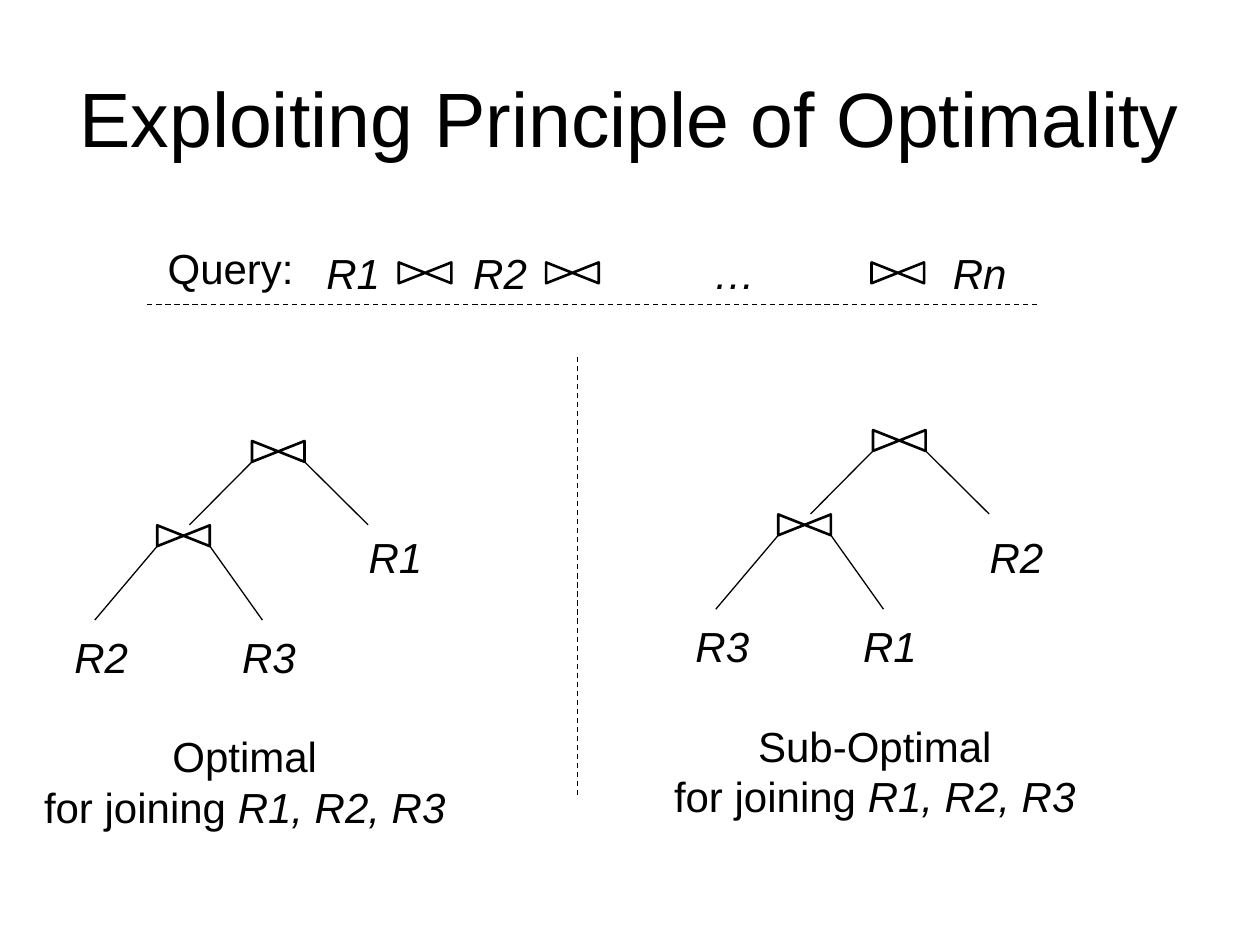
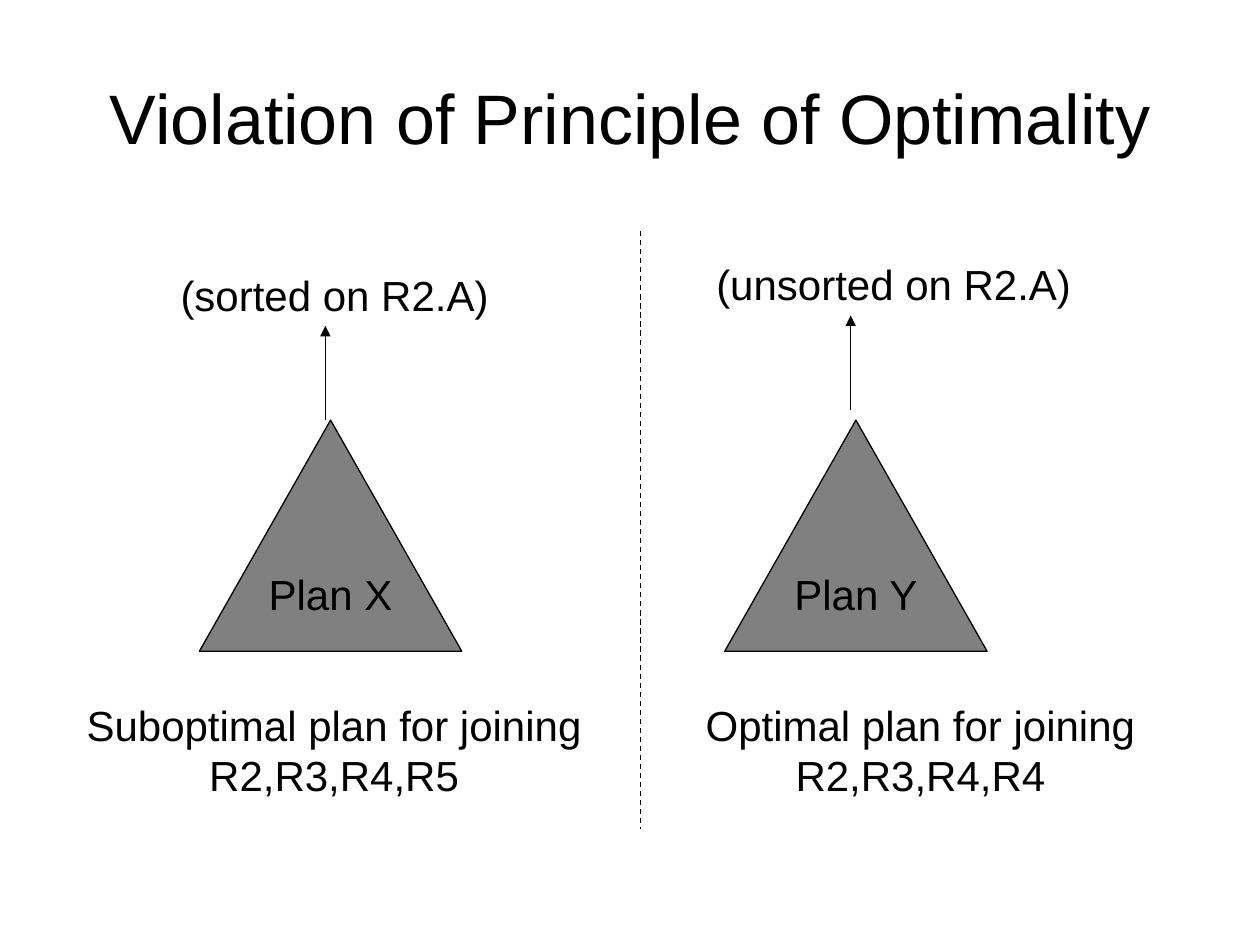
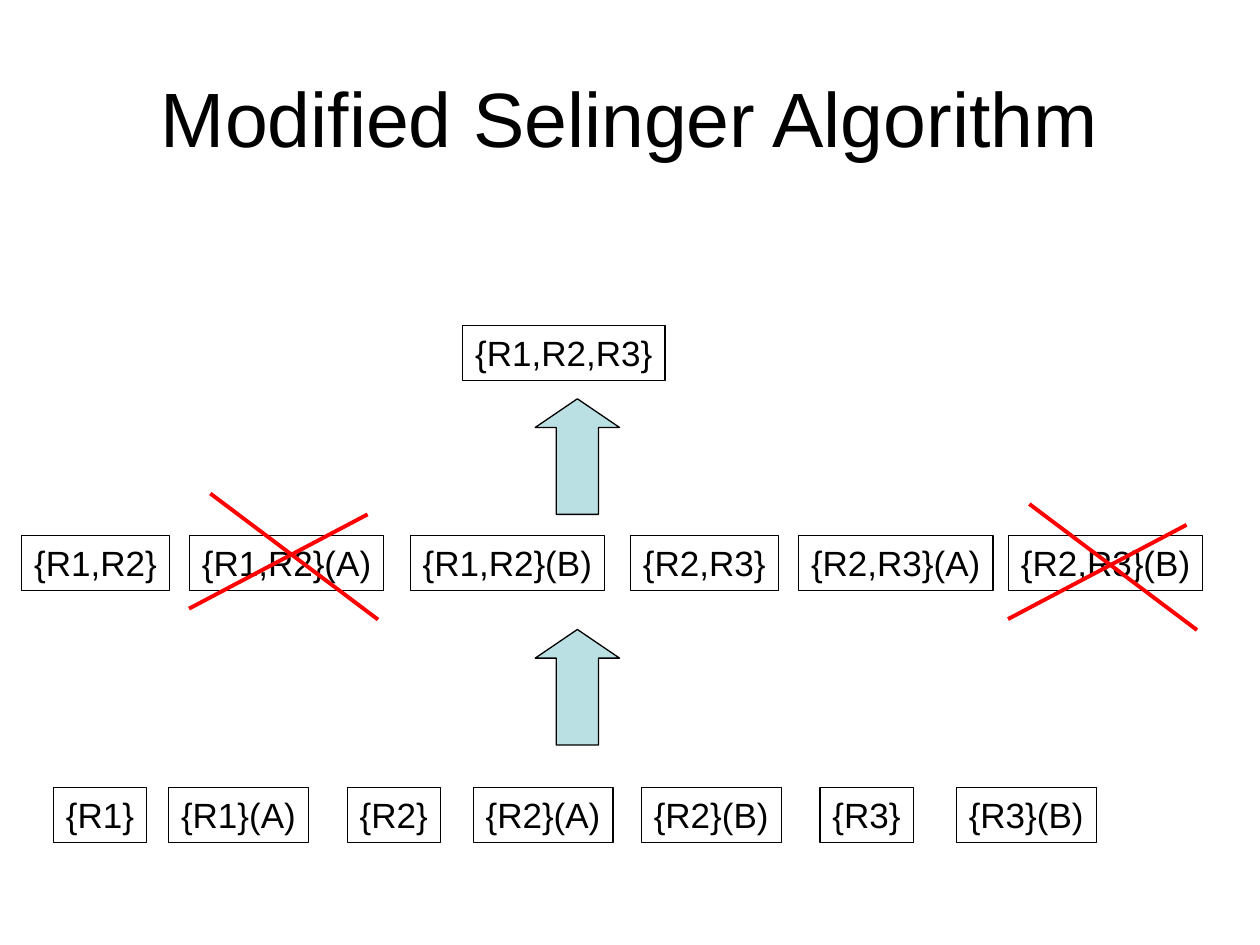
from dataclasses import dataclass

from pptx import Presentation
from pptx.dml.color import RGBColor
from pptx.enum.dml import MSO_LINE
from pptx.enum.shapes import MSO_CONNECTOR, MSO_SHAPE
from pptx.enum.text import MSO_ANCHOR, MSO_AUTO_SIZE, PP_ALIGN
from pptx.oxml.ns import qn
from pptx.util import Cm, Pt
from lxml.etree import SubElement


@dataclass(frozen=True)
class Theme:
    font: str = "Arial"
    ink: str = "000000"
    paper: str = "FFFFFF"
    gray: str = "808080"
    teal: str = "BBE0E3"
    red: str = "FF0000"
    head: int = 44
    tight: int = 40
    body: int = 24
    small: int = 20
    thin: float = 0.75
    mid: float = 1.5
    thick: float = 2.25


THEME = Theme()
LEFT, CENTER = PP_ALIGN.LEFT, PP_ALIGN.CENTER
LABEL, CAPTION = 1.27, 2.29  # heights of one and two lines of text


def color(code):
    return RGBColor.from_string(code)


def write(shape, text, size=THEME.body, italic=False, align=LEFT,
          anchor=MSO_ANCHOR.TOP, wrap=False, grow=False, tail="", stops=()):
    """Fill a shape with one paragraph; tail is an italic ending."""
    frame = shape.text_frame
    frame.word_wrap = wrap
    frame.auto_size = MSO_AUTO_SIZE.SHAPE_TO_FIT_TEXT if grow else MSO_AUTO_SIZE.NONE
    frame.vertical_anchor = anchor
    para = frame.paragraphs[0]
    para.text = text
    para.alignment = align
    if stops:
        tabs = SubElement(para._p.get_or_add_pPr(), qn("a:tabLst"))
        for stop in stops:
            SubElement(tabs, qn("a:tab"), pos=str(Cm(stop)), algn="l")
    for run in para.runs:
        run.font.italic = italic
    if tail:
        run = para.add_run()
        run.text = tail
        run.font.italic = True
    for run in para.runs:
        run.font.name = THEME.font
        run.font.size = Pt(size)
        run.font.color.rgb = color(THEME.ink)


def label(shapes, text, x, y, w, h=LABEL, grow=True, **form):
    box = shapes.add_textbox(Cm(x), Cm(y), Cm(w), Cm(h))
    write(box, text, grow=grow, **form)


def draw(shapes, kind, x, y, w, h, fill=None, width=THEME.thin):
    shape = shapes.add_shape(kind, Cm(x), Cm(y), Cm(w), Cm(h))
    shape.shadow.inherit = False
    if fill:
        shape.fill.solid()
        shape.fill.fore_color.rgb = color(fill)
    else:
        shape.fill.background()
    shape.line.color.rgb = color(THEME.ink)
    shape.line.width = Pt(width)
    return shape


def rule(shapes, x1, y1, x2, y2, ink=THEME.ink, width=THEME.thin,
         dash=False, arrow=False):
    line = shapes.add_connector(MSO_CONNECTOR.STRAIGHT, Cm(x1), Cm(y1), Cm(x2), Cm(y2))
    line.line.color.rgb = color(ink)
    line.line.width = Pt(width)
    if dash:
        line.line.dash_style = MSO_LINE.DASH
    props = line.element.spPr
    if arrow:
        SubElement(props.find(qn("a:ln")), qn("a:tailEnd"), type="triangle")
    SubElement(props, qn("a:effectLst"))


def start(deck, title, size=THEME.head):
    slide = deck.slides.add_slide(deck.slide_layouts[6])
    label(slide.shapes, title, 1.27, 0.76, 22.86, 3.18, grow=False, size=size,
          align=CENTER, anchor=MSO_ANCHOR.MIDDLE, wrap=True)
    return slide.shapes


def bow(shapes, x, y):
    """Draw a join sign centred on x, y."""
    w, h = 0.42, 1.06
    sign = draw(shapes, MSO_SHAPE.FLOWCHART_COLLATE, x - w / 2, y - h / 2, w, h,
                THEME.paper, THEME.mid)
    sign.rotation = 270


def join(shapes, x, y, right, drop):
    """Draw a join sign with its two branches."""
    bow(shapes, x, y)
    for side, foot in ((-0.53, -1.79), (0.53, right)):
        rule(shapes, x + side, y + 0.21, x + foot, y + 0.21 + drop)


def query(shapes, x, y):
    label(shapes, "Query:", x + 0.16, y, 3.28)
    for at in (5.6, 8.57, 15.13):
        bow(shapes, x + at, y + 0.74)
    label(shapes, "R1\tR2\t…\tRn", x + 3.36, y + 0.1, 14.6, italic=True, wrap=True,
          stops=(2.96, 7.8, 12.63))
    rule(shapes, x, y + 1.38, x + 17.99, y + 1.38, dash=True)


def tree(shapes, x, y, leaves, drop):
    """Draw a join tree; drop is the height of the upper leaf."""
    group = shapes.add_group_shape().shapes
    join(group, x + 4.36, y + 0.23, 1.81, 1.27)
    join(group, x + 2.45, y + 1.93, 1.59, 1.49)
    low, mid, top = leaves
    for name, at in ((low, 0), (mid, 3.38)):
        label(group, name, x + at, y + 3.73, 1.6, italic=True)
    label(shapes, top, x + 5.93, y + drop, 1.6, italic=True)


def plan(shapes, x, y, name, sort, goal, lift=0):
    """Draw a plan; sort and goal hold text, left and width."""
    cone = draw(shapes, MSO_SHAPE.ISOSCELES_TRIANGLE, x, y, 5.29, 4.66, THEME.gray)
    write(cone, name, align=CENTER, anchor=MSO_ANCHOR.MIDDLE)
    rule(shapes, x + 2.54, y - lift, x + 2.54, y - lift - 1.9, arrow=True)
    text, left, width = sort
    label(shapes, text, x + left, y - lift - 3.17, width)
    text, left, width = goal
    label(shapes, text, x + left, y + 5.5, width, CAPTION, align=CENTER)


def sets(shapes, y, items):
    """Draw a row of framed sets, each as wide as its text needs."""
    for text, x in items:
        width = 1.88 + 1.1 * text.count(",") + 0.94 * text.count("(")
        box = draw(shapes, MSO_SHAPE.RECTANGLE, x, y, width, 1.11)
        write(box, text, size=THEME.small, grow=True)


def cross(shapes, x, y):
    for x1, y1, x2, y2 in ((0, 2.32, 3.6, 0.42), (0.43, 0, 3.81, 2.54)):
        rule(shapes, x + x1, y + y1, x + x2, y + y2, THEME.red, THEME.thick)


def exploit(deck):
    shapes = start(deck, "Exploiting Principle of Optimality")
    query(shapes, 2.97, 4.76)
    tree(shapes, 1.25, 8.87, ("R2", "R3", "R1"), 1.73)
    tree(shapes, 13.77, 8.65, ("R3", "R1", "R2"), 1.93)
    for text, x, y in (("Optimal", 0.62, 14.61), ("Sub-Optimal", 13.32, 14.4)):
        label(shapes, text + "\nfor joining ", x, y, 8.63, CAPTION, align=CENTER,
              tail="R1, R2, R3")
    rule(shapes, 11.64, 7.19, 11.64, 16.08, dash=True)


def violate(deck):
    shapes = start(deck, "Violation of Principle of Optimality", THEME.tight)
    plan(shapes, 14.61, 8.47, "Plan Y", ("(unsorted on R2.A)", -0.42, 7.68),
         ("Optimal plan for joining\nR2,R3,R4,R4", -0.64, 9.17), lift=0.21)
    plan(shapes, 4.02, 8.47, "Plan X", ("(sorted on R2.A)", -0.63, 6.74),
         ("Suboptimal plan for joining\nR2,R3,R4,R5", -2.53, 10.49))
    rule(shapes, 12.91, 4.66, 12.91, 16.72, dash=True)


def modify(deck):
    shapes = start(deck, "Modified Selinger Algorithm")
    sets(shapes, 15.88, (("{R1}", 1.08), ("{R1}(A)", 3.4), ("{R2}", 7),
                         ("{R2}(A)", 9.54), ("{R2}(B)", 12.93), ("{R3}", 16.53),
                         ("{R3}(B)", 19.28)))
    sets(shapes, 10.8, (("{R1,R2}", 0.44), ("{R1,R2}(A)", 3.82),
                        ("{R1,R2}(B)", 8.27), ("{R2,R3}", 12.71),
                        ("{R2,R3}(A)", 16.1), ("{R2,R3}(B)", 20.33)))
    sets(shapes, 6.56, (("{R1,R2,R3}", 9.33),))
    for y in (8.04, 12.69):
        arrow = draw(shapes, MSO_SHAPE.UP_ARROW, 10.79, y, 1.7, 2.33, THEME.teal)
        arrow.adjustments[1] = 0.34
    cross(shapes, 20.32, 10.16)
    cross(shapes, 3.81, 9.95)


def main():
    deck = Presentation()
    deck.slide_width, deck.slide_height = Cm(25.4), Cm(19.05)
    exploit(deck)
    violate(deck)
    modify(deck)
    deck.save("out.pptx")


if __name__ == "__main__":
    main()
